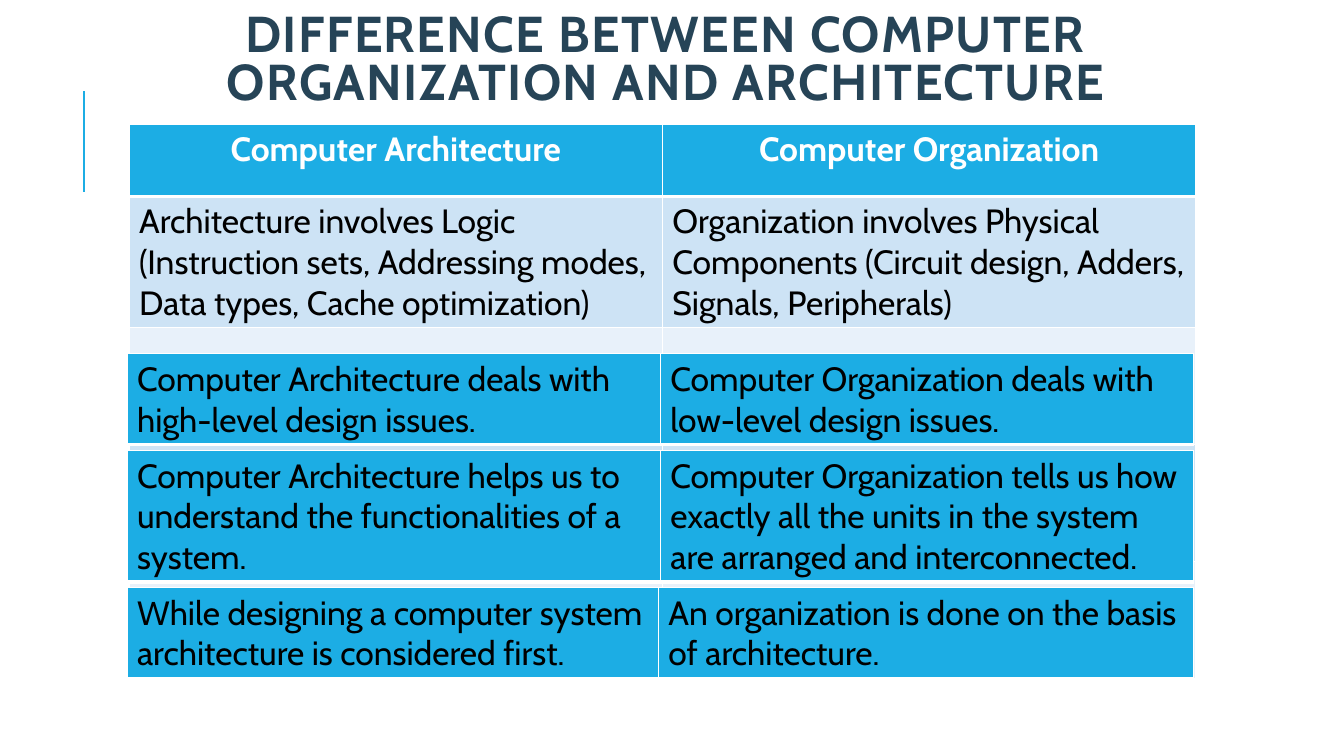
import pptx
import pptx.dml.color
import pptx.enum.shapes
import pptx.enum.text
import pptx.oxml
import pptx.oxml.ns
import pptx.util
import lxml.etree

COLORS = {"accent": "1CADE4", "title": "264457", "band": "CDE3F5",
          "pale": "E8F1FA", "white": "FFFFFF", "black": "000000"}
WIDTH, HEIGHT = 13.33, 7.5
TABLE_WIDTH = 10.58
HALVES = (TABLE_WIDTH / 2, TABLE_WIDTH / 2)
HEADER = ("Computer Architecture", "Computer Organization")
LOGIC = ("Architecture involves Logic (Instruction sets, Addressing modes, "
         "Data types, Cache optimization)",
         "Organization involves Physical Components (Circuit design, Adders, "
         "Signals, Peripherals)")
ISSUES = ("Computer Architecture deals with high-level design issues.",
          "Computer Organization deals with low-level design issues.")
ORDER = ("While designing a computer system architecture is considered first.",
         "An organization is done on the basis of architecture.")
UNITS = ("Computer Architecture helps us to understand the functionalities of a system.",
         "Computer Organization tells us how exactly all the units in the system "
         "are arranged and interconnected.")


def inches(value):
    """Convert inches to slide units."""
    return pptx.util.Inches(value)


def color(name):
    """Look up a colour by its name."""
    return pptx.dml.color.RGBColor.from_string(COLORS[name])


def style_text(para, size, name, bold=False, centered=False):
    """Format a paragraph and its runs."""
    if centered:
        para.alignment = pptx.enum.text.PP_ALIGN.CENTER
    for span in para.runs:
        span.font.name = "Cabin"
        span.font.size = pptx.util.Pt(size)
        span.font.bold = bold
        span.font.color.rgb = color(name)


def add_title(page, text):
    """Add the spaced, centred heading."""
    box = page.shapes.add_textbox(inches(0.92), inches(0.09), inches(11.37), inches(1.05))
    frame = box.text_frame
    frame.word_wrap = True
    frame.vertical_anchor = pptx.enum.text.MSO_ANCHOR.MIDDLE
    frame.text = text
    para = frame.paragraphs[0]
    para.line_spacing = 0.8
    style_text(para, 36, "title", bold=True, centered=True)
    for span in para.runs:
        span.font._element.set("spc", "100")


def add_rule(page):
    """Add the vertical accent line at the left."""
    x = inches(WIDTH / 16)
    rule = page.shapes.add_connector(pptx.enum.shapes.MSO_CONNECTOR.STRAIGHT,
                                     x, inches(1.9), x, inches(0.9))
    rule.line.color.rgb = color("accent")
    rule.line.width = pptx.util.Pt(1.5)
    properties = rule._element.spPr
    lxml.etree.SubElement(properties, pptx.oxml.ns.qn("a:effectLst"))


def border_cell(cell, bottom):
    """Draw white cell borders with a given bottom width in points."""
    properties = cell._tc.get_or_add_tcPr()
    for index, (side, width) in enumerate((("L", 1), ("R", 1), ("T", 1), ("B", bottom))):
        line = pptx.oxml.parse_xml(
            f'<a:ln{side} {pptx.oxml.ns.nsdecls("a")} w="{pptx.util.Pt(width)}">'
            f'<a:solidFill><a:srgbClr val="{COLORS["white"]}"/></a:solidFill></a:ln{side}>')
        properties.insert(index, line)


def add_grid(page, left, top, columns, rows):
    """Add a table from rows of (height, fill, texts, is_header, bottom border)."""
    height = sum(row[0] for row in rows)
    table = page.shapes.add_table(len(rows), len(columns), inches(left), inches(top),
                                  inches(sum(columns)), inches(height)).table
    for column, width in zip(table.columns, columns):
        column.width = inches(width)
    for row, (row_height, fill, texts, header, bottom) in zip(table.rows, rows):
        row.height = inches(row_height)
        for cell, text in zip(row.cells, texts):
            cell.text = text
            cell.fill.solid()
            cell.fill.fore_color.rgb = color(fill)
            border_cell(cell, bottom)
            style_text(cell.text_frame.paragraphs[0], 24,
                       "white" if header else "black", header, header)


def main():
    """Build and save the comparison slide."""
    deck = pptx.Presentation()
    deck.slide_width, deck.slide_height = inches(WIDTH), inches(HEIGHT)
    page = deck.slides.add_slide(deck.slide_layouts[6])
    add_rule(page)
    add_title(page, "DIFFERENCE BETWEEN COMPUTER ORGANIZATION AND ARCHITECTURE")
    empty = [(1.16, fill, ("", ""), False, 1) for fill in ("pale", "band", "pale")]
    add_grid(page, 1.28, 1.23, HALVES,
             [(0.72, "accent", HEADER, True, 3), (1.3, "band", LOGIC, False, 1), *empty])
    for top, height, columns, texts in ((3.51, 0.9, HALVES, ISSUES),
                                        (5.83, 0.9, (5.27, 5.31), ORDER),
                                        (4.47, 1.3, HALVES, UNITS)):
        add_grid(page, 1.26, top, columns, [(height, "accent", texts, False, 3)])
    deck.save("out.pptx")


main()
